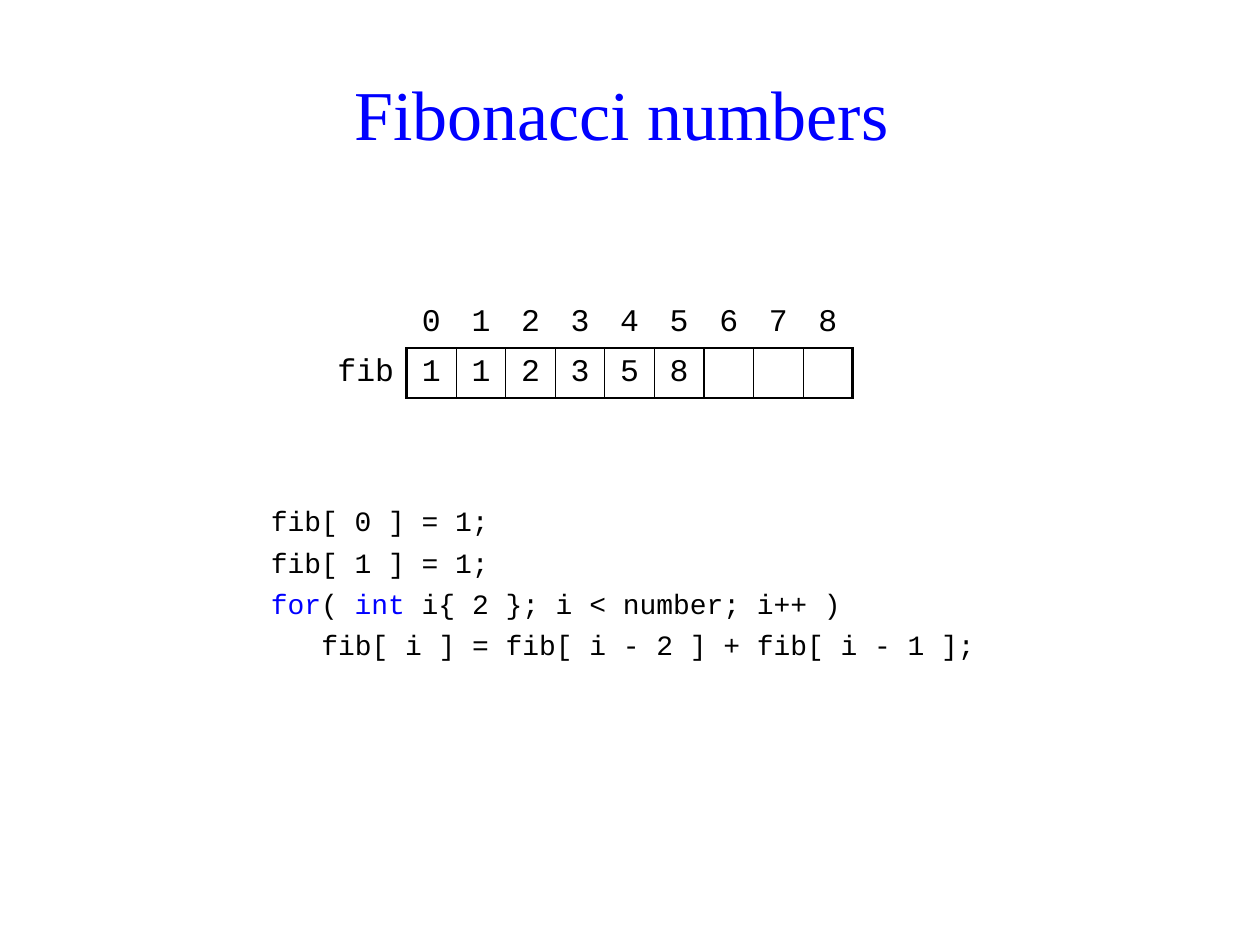
import pptx
import pptx.dml.color
import pptx.enum.text
import pptx.oxml
import pptx.util

INCH = pptx.util.Inches
PT = pptx.util.Pt
ALIGN = pptx.enum.text.PP_ALIGN
MIDDLE = pptx.enum.text.MSO_ANCHOR.MIDDLE
NS = 'xmlns:a="http://schemas.openxmlformats.org/drawingml/2006/main"'
BLACK, BLUE = "000000", "0000FF"
MONO = "Courier New"
UNIT = 4.33 / 11  # side of one array cell
THICK, THIN = 1.5, 0.75

INDEX = ["0", "1", "2", "3", "4", "5", "6", "7", "8"]
VALUES = ["1", "1", "2", "3", "5", "8", "", "", ""]
CODE = [  # (indent in inches, runs)
    (0, [("fib[ 0 ] = 1;", BLACK)]),
    (0, [("fib[ 1 ] = 1;", BLACK)]),
    (0, [("for", BLUE), ("( ", BLACK), ("int", BLUE),
         (" i{ 2 }; i < number; i++ )", BLACK)]),
    (0.4, [("fib[ i ] = fib[ i - 2 ] + fib[ i - 1 ];", BLACK)]),
]


def color(text):
    return pptx.dml.color.RGBColor.from_string(text)


def assign(item, values):
    for name, value in values.items():
        setattr(item, name, value)


def place(shape, left, top, width, height):
    assign(shape, {"left": INCH(left), "top": INCH(top),
                   "width": INCH(width), "height": INCH(height)})


def write(para, text, size, face, ink=BLACK):
    run = para.add_run()
    run.text = text
    assign(run.font, {"size": PT(size), "name": face})
    run.font.color.rgb = color(ink)


def add_title(slide):
    title = slide.shapes.title
    place(title, 0.67, 0.4, 8.66, 0.98)
    assign(title.text_frame, {
        "vertical_anchor": MIDDLE, "word_wrap": True,
        "auto_size": pptx.enum.text.MSO_AUTO_SIZE.NONE})
    para = title.text_frame.paragraphs[0]
    para.alignment = ALIGN.CENTER
    write(para, "Fibonacci numbers ", 40, "Times New Roman", BLUE)


def add_code(slide):
    body = slide.placeholders[1]
    place(body, 2.05, 3.95, 5.91, 1.38)
    frame = body.text_frame
    assign(frame, {"word_wrap": True,
                   "auto_size": pptx.enum.text.MSO_AUTO_SIZE.NONE})
    for row, (indent, runs) in enumerate(CODE):
        para = frame.add_paragraph() if row else frame.paragraphs[0]
        assign(para, {"space_before": PT(4.3), "line_spacing": 1.0})
        # Plain lines: no bullet, left margin only
        props = para._p.get_or_add_pPr()
        props.set("marL", str(INCH(indent)))
        props.set("indent", "0")
        props.append(pptx.oxml.parse_xml(f"<a:buNone {NS}/>"))
        for text, ink in runs:
            write(para, text, 16, MONO, ink)


def border(cell, sides):
    props = cell._tc.get_or_add_tcPr()
    for side in "LRTB":
        if side in sides:
            props.append(pptx.oxml.parse_xml(
                f'<a:ln{side} {NS} w="{PT(sides[side])}"><a:solidFill>'
                f'<a:srgbClr val="{BLACK}"/></a:solidFill></a:ln{side}>'))


def edges(row, col):
    last = len(VALUES)
    if row == 0:
        return {"B": THICK} if col else {}
    if col == 0:
        return {"R": THICK}
    return {"L": THICK if col == 1 else THIN,
            "R": THICK if col == last else THIN, "T": THICK, "B": THICK}


def add_array(slide):
    rows = [[""] + INDEX, ["fib"] + VALUES]
    count = len(rows[0])
    table = slide.shapes.add_table(
        2, count, INCH(2.44), INCH(2.37),
        INCH(UNIT * (count + 1)), INCH(UNIT * 2)).table
    assign(table, {"first_row": False, "horz_banding": False})
    # Style without fills or grid
    table._tbl.tblPr[0].text = "{2D5ABB26-0587-4C30-8999-92F81FD0307C}"
    for col, column in enumerate(table.columns):
        column.width = INCH(UNIT if col else UNIT * 2)
    for row, texts in enumerate(rows):
        table.rows[row].height = INCH(UNIT)
        for col, text in enumerate(texts):
            cell = table.cell(row, col)
            assign(cell, {"vertical_anchor": MIDDLE,
                          "margin_left": INCH(0.1), "margin_right": INCH(0.1),
                          "margin_top": 0, "margin_bottom": 0})
            border(cell, edges(row, col))
            cell.fill.background()
            para = cell.text_frame.paragraphs[0]
            para.alignment = ALIGN.CENTER if col else ALIGN.RIGHT
            if text:
                write(para, text, 18, MONO)


def main():
    deck = pptx.Presentation()
    assign(deck, {"slide_width": INCH(10), "slide_height": INCH(7.5)})
    slide = deck.slides.add_slide(deck.slide_layouts[1])
    add_title(slide)
    add_code(slide)
    add_array(slide)
    deck.save("out.pptx")


if __name__ == "__main__":
    main()
